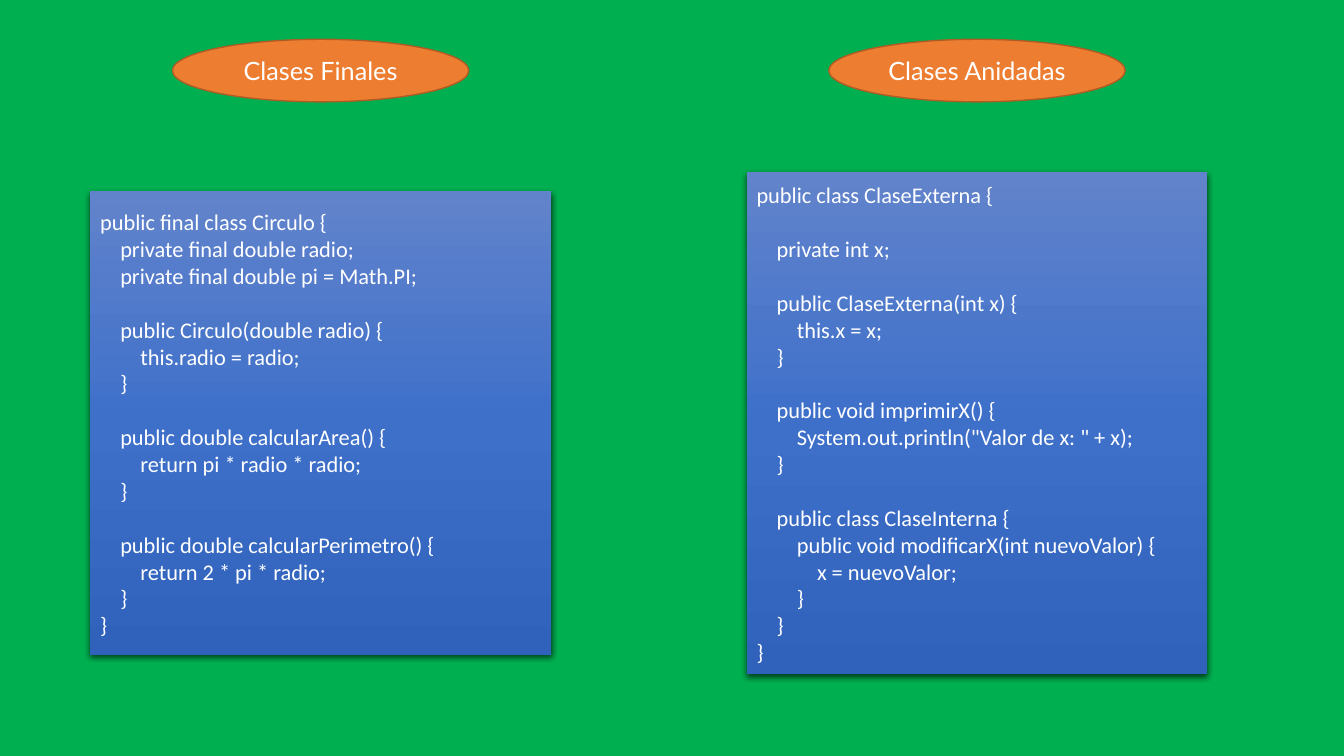
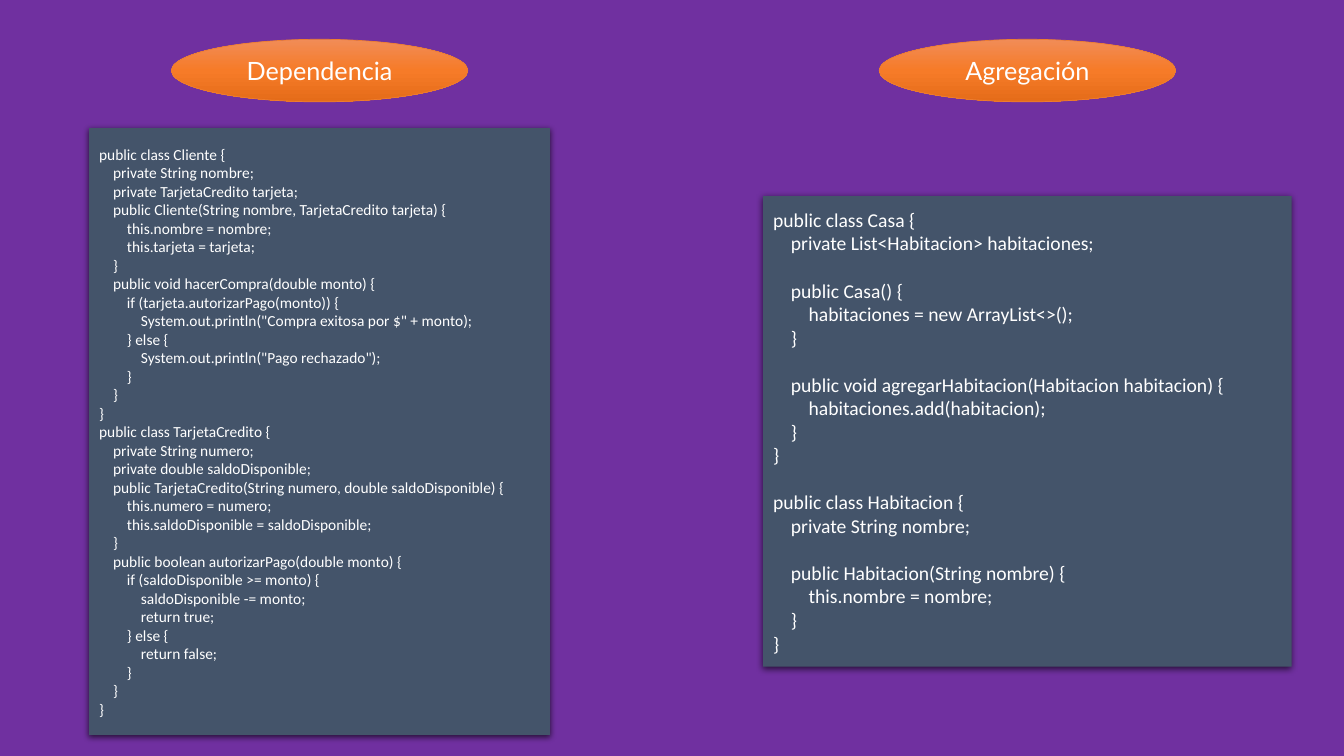
"""Build two slides that compare Java class concepts, each with its sample code."""
from dataclasses import dataclass

from lxml.etree import SubElement
from pptx import Presentation
from pptx.dml.color import RGBColor
from pptx.enum.shapes import MSO_SHAPE
from pptx.enum.text import MSO_ANCHOR, PP_ALIGN
from pptx.oxml.ns import qn
from pptx.util import Inches, Pt


@dataclass(frozen=True)
class Theme:
    """Colours, fonts, type sizes and shared measures of the deck."""
    white: str = "FFFFFF"
    green: str = "00B050"
    purple: str = "7030A0"
    slate: tuple = ("44546A",)
    blue_gradient: tuple = ("6183CB", "3E70CA", "3062BB")
    orange: tuple = ("ED7D31",)
    orange_gradient: tuple = ("F18C57", "F67B28", "E56C19")
    dark_orange_line: tuple = ("AF5C24", 1)
    orange_line: tuple = ("ED7D31", 0.5)
    title_font: str = "Lato"
    code_font: str = "Calibri"
    title_size: int = 18
    large_code: int = 16
    medium_code: int = 14
    small_code: int = 11
    code_line_height: float = 1.2
    title_top: float = 0.39
    title_width: float = 2.94
    title_height: float = 0.62


THEME = Theme()

CIRCULO = """\
public final class Circulo {
    private final double radio;
    private final double pi = Math.PI;

    public Circulo(double radio) {
        this.radio = radio;
    }

    public double calcularArea() {
        return pi * radio * radio;
    }

    public double calcularPerimetro() {
        return 2 * pi * radio;
    }
}"""

CLASE_EXTERNA = """\
public class ClaseExterna {

    private int x;

    public ClaseExterna(int x) {
        this.x = x;
    }

    public void imprimirX() {
        System.out.println("Valor de x: " + x);
    }

    public class ClaseInterna {
        public void modificarX(int nuevoValor) {
            x = nuevoValor;
        }
    }
}"""

CLIENTE = """\
public class Cliente {
    private String nombre;
    private TarjetaCredito tarjeta;
    public Cliente(String nombre, TarjetaCredito tarjeta) {
        this.nombre = nombre;
        this.tarjeta = tarjeta;
    }
    public void hacerCompra(double monto) {
        if (tarjeta.autorizarPago(monto)) {
            System.out.println("Compra exitosa por $" + monto);
        } else {
            System.out.println("Pago rechazado");
        }
    }
}"""

TARJETA_CREDITO = """\
public class TarjetaCredito {
    private String numero;
    private double saldoDisponible;
    public TarjetaCredito(String numero, double saldoDisponible) {
        this.numero = numero;
        this.saldoDisponible = saldoDisponible;
    }
    public boolean autorizarPago(double monto) {
        if (saldoDisponible >= monto) {
            saldoDisponible -= monto;
            return true;
        } else {
            return false;
        }
    }
}"""

CASA = """\
public class Casa {
    private List<Habitacion> habitaciones;

    public Casa() {
        habitaciones = new ArrayList<>();
    }

    public void agregarHabitacion(Habitacion habitacion) {
        habitaciones.add(habitacion);
    }
}

public class Habitacion {
    private String nombre;

    public Habitacion(String nombre) {
        this.nombre = nombre;
    }
}"""


def paint(shape, colors):
    """Fill a shape with one colour, or with an even top-down gradient of several."""
    if len(colors) == 1:
        shape.fill.solid()
        shape.fill.fore_color.rgb = RGBColor.from_string(colors[0])
        return
    shape.fill.gradient()
    shape.fill.gradient_angle = 270
    stops = shape._element.spPr.find(qn("a:gradFill")).find(qn("a:gsLst"))
    for stop in list(stops):
        stops.remove(stop)
    for index, color in enumerate(colors):
        position = 100000 * index // (len(colors) - 1)
        stop = SubElement(stops, qn("a:gs"), pos=str(position))
        SubElement(stop, qn("a:srgbClr"), val=color)


def cast_shadow(shape):
    """Give a shape a soft black shadow below it."""
    effects = shape._element.spPr.find(qn("a:effectLst"))
    shadow = SubElement(effects, qn("a:outerShdw"), blurRad=str(Pt(4.5)),
                        dist=str(Pt(1.5)), dir="5400000", algn="ctr", rotWithShape="0")
    color = SubElement(shadow, qn("a:srgbClr"), val="000000")
    SubElement(color, qn("a:alpha"), val="63000")


def write_text(shape, text, *, font, size, color=THEME.white, align=PP_ALIGN.LEFT):
    """Write lines as paragraphs, turning each empty line into space before the next."""
    frame = shape.text_frame
    frame.word_wrap = True
    frame.vertical_anchor = MSO_ANCHOR.MIDDLE
    paragraph, gap = frame.paragraphs[0], 0
    for index, line in enumerate(text.split("\n")):
        if not line:
            gap += size * THEME.code_line_height
            continue
        if index:
            paragraph = frame.add_paragraph()
            paragraph.space_before = Pt(gap)
        paragraph.alignment = align
        run = paragraph.add_run()
        run.text = line
        run.font.name = font
        run.font.size = Pt(size)
        run.font.color.rgb = RGBColor.from_string(color)
        gap = 0


def add_block(slide, kind, left, top, width, height, colors, line=None):
    """Add a painted shape with an optional outline and no inherited shadow."""
    shape = slide.shapes.add_shape(kind, Inches(left), Inches(top), Inches(width), Inches(height))
    paint(shape, colors)
    if line:
        shape.line.color.rgb = RGBColor.from_string(line[0])
        shape.line.width = Pt(line[1])
    else:
        shape.line.fill.background()
    shape.shadow.inherit = False
    return shape


def add_title_oval(slide, text, center, colors, line):
    """Add an oval heading centred on a column."""
    oval = add_block(slide, MSO_SHAPE.OVAL, center - THEME.title_width / 2, THEME.title_top,
                     THEME.title_width, THEME.title_height, colors, line)
    write_text(oval, text, font=THEME.title_font, size=THEME.title_size, align=PP_ALIGN.CENTER)


def add_code_panel(slide, code, center, middle, width, height, colors, size):
    """Add a shadowed panel of code centred on a point."""
    panel = add_block(slide, MSO_SHAPE.RECTANGLE, center - width / 2, middle - height / 2,
                      width, height, colors)
    cast_shadow(panel)
    write_text(panel, code, font=THEME.code_font, size=size)


def add_comparison(presentation, background, middle, panel_colors, oval_colors, oval_line, columns):
    """Add a slide with one headed code panel per column."""
    slide = presentation.slides.add_slide(presentation.slide_layouts.get_by_name("Blank"))
    slide.background.fill.solid()
    slide.background.fill.fore_color.rgb = RGBColor.from_string(background)
    for title, code, center, width, height, size in columns:
        add_code_panel(slide, code, center, middle, width, height, panel_colors, size)
        add_title_oval(slide, title, center, oval_colors, oval_line)


def main():
    """Build and save the presentation."""
    presentation = Presentation()
    presentation.slide_width = Inches(13.33)
    presentation.slide_height = Inches(7.5)
    add_comparison(
        presentation, THEME.green, 4.2, THEME.blue_gradient, THEME.orange, THEME.dark_orange_line,
        [("Clases Finales", CIRCULO, 3.18, 4.57, 4.6, THEME.large_code),
         ("Clases Anidadas", CLASE_EXTERNA, 9.69, 4.57, 4.98, THEME.large_code)])
    payment_code = "\n".join([CLIENTE, TARJETA_CREDITO])
    add_comparison(
        presentation, THEME.purple, 4.28, THEME.slate, THEME.orange_gradient, THEME.orange_line,
        [("Dependencia", payment_code, 3.17, 4.57, 6.02, THEME.small_code),
         ("Agregación", CASA, 10.19, 5.24, 4.67, THEME.medium_code)])
    presentation.save("out.pptx")


if __name__ == "__main__":
    main()
